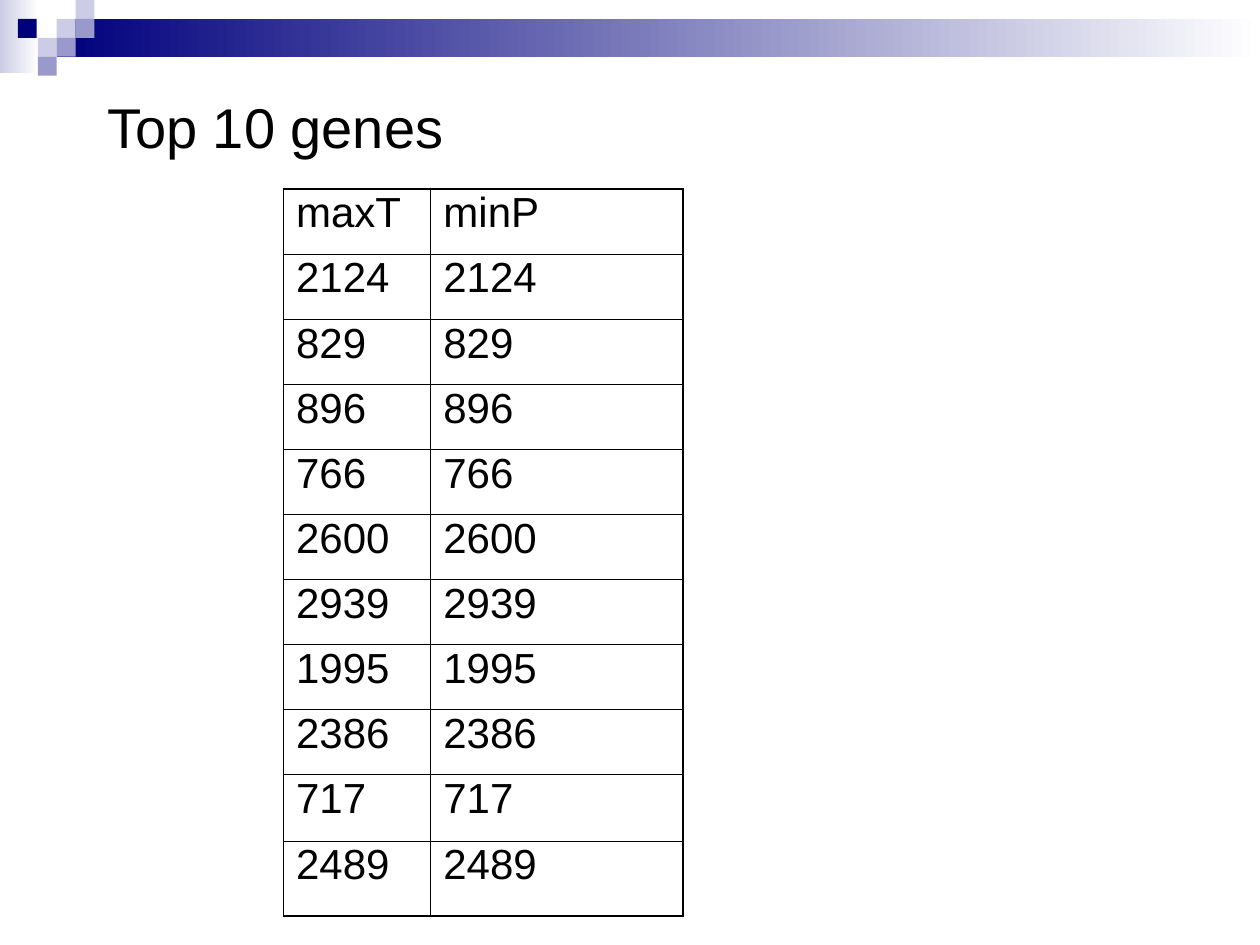
from dataclasses import dataclass

from lxml.etree import SubElement as Sub
from pptx import Presentation
from pptx.dml.color import RGBColor as RGB
from pptx.enum.shapes import MSO_SHAPE as Shape
from pptx.enum.text import MSO_ANCHOR as Anchor, PP_ALIGN as Align
from pptx.oxml.ns import qn
from pptx.util import Pt


@dataclass(frozen=True)
class Theme:
    font: str = "Arial"
    ink: str = "000000"
    white: str = "FFFFFF"
    navy: str = "00007D"
    mid: str = "9999CC"
    pale: str = "CCCCE6"
    head: int = 32
    body: int = 24
    thin: float = 0.45
    thick: float = 1.08


@dataclass(frozen=True)
class Box:
    left: float
    top: float
    width: float
    height: float
    color: str
    fade: bool = False


THEME = Theme()
STEP = 10.8  # side of one header square
GENES = [2124, 829, 896, 766, 2600, 2939, 1995, 2386, 717, 2489]
ROWS = [("maxT", "minP")] + [(str(gene), str(gene)) for gene in GENES]
WIDTHS = [84.2, 144]
HEIGHTS = [37.2] * 9 + [37.8, 42.8]


def square(col: int, row: int, color: str) -> Box:
    return Box(col * STEP, row * STEP, STEP, STEP, color)


BOXES = [
    Box(0, 0, 22.3, 41.8, THEME.pale, fade=True),
    Box(3 * STEP, STEP, 720 - 3 * STEP, 2 * STEP, THEME.navy, fade=True),
    square(3, 1, THEME.pale),
    square(4, 0, THEME.pale),
    square(4, 1, THEME.mid),
    square(2, 2, THEME.pale),
    Box(10.2, STEP, STEP, STEP, THEME.navy),
    square(3, 2, THEME.mid),
    square(2, 3, THEME.mid),
]


def draw_box(slide, box: Box) -> None:
    area = map(Pt, (box.left, box.top, box.width, box.height))
    shape = slide.shapes.add_shape(Shape.RECTANGLE, *area)
    shape.shadow.inherit = False
    shape.line.fill.background()
    if box.fade:
        shape.fill.gradient()
        shape.fill.gradient_angle = 180
        for stop, color in zip(shape.fill.gradient_stops, (THEME.white, box.color)):
            stop.color.rgb = RGB.from_string(color)
    else:
        shape.fill.solid()
        shape.fill.fore_color.rgb = RGB.from_string(box.color)


def style(para, size: int) -> None:
    para.alignment = Align.LEFT
    para.font.name = THEME.font
    para.font.size = Pt(size)
    para.font.color.rgb = RGB.from_string(THEME.ink)


def draw_title(slide, text: str) -> None:
    title = slide.shapes.title
    title.left, title.top, title.width, title.height = map(Pt, (54, 48, 612, 48))
    title.text_frame.text = text
    title.text_frame.vertical_anchor = Anchor.MIDDLE
    style(title.text_frame.paragraphs[0], THEME.head)


def set_edge(cell, side: str, width: float) -> None:
    props = cell._tc.get_or_add_tcPr()
    line = Sub(props, qn(f"a:ln{side}"), w=str(int(Pt(width))))
    fill = Sub(line, qn("a:solidFill"))
    Sub(fill, qn("a:srgbClr"), val=THEME.ink)


def draw_table(slide) -> None:
    area = map(Pt, (162, 108, sum(WIDTHS), sum(HEIGHTS)))
    table = slide.shapes.add_table(len(ROWS), len(WIDTHS), *area).table
    table.first_row = table.horz_banding = False
    for col, width in zip(table.columns, WIDTHS):
        col.width = Pt(width)
    for row, height in zip(table.rows, HEIGHTS):
        row.height = Pt(height)

    last_row, last_col = len(ROWS) - 1, len(WIDTHS) - 1
    for r, texts in enumerate(ROWS):
        for c, text in enumerate(texts):
            cell = table.cell(r, c)
            cell.text = text
            para = cell.text_frame.paragraphs[0]
            para.line_spacing = 0.87
            style(para, THEME.body)
            # Outer edges are thick, inner ones thin
            outer = {"L": c == 0, "R": c == last_col, "T": r == 0, "B": r == last_row}
            for side, edge in outer.items():
                set_edge(cell, side, THEME.thick if edge else THEME.thin)
            cell.fill.background()


def main() -> None:
    deck = Presentation()
    deck.slide_width, deck.slide_height = Pt(720), Pt(540)
    slide = deck.slides.add_slide(deck.slide_layouts[5])

    # Header band and squares
    for box in BOXES:
        draw_box(slide, box)

    # Title and gene list
    draw_title(slide, "Top 10 genes")
    draw_table(slide)
    deck.save("out.pptx")


if __name__ == "__main__":
    main()
